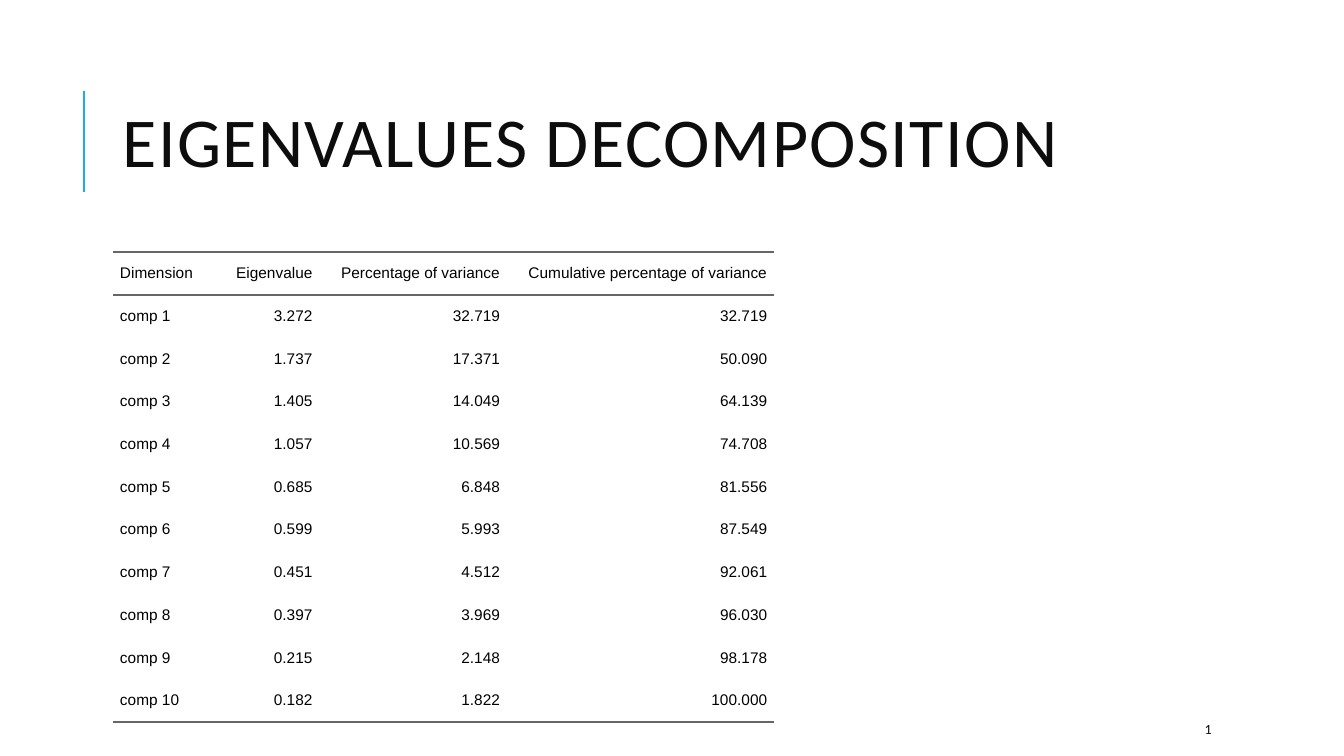
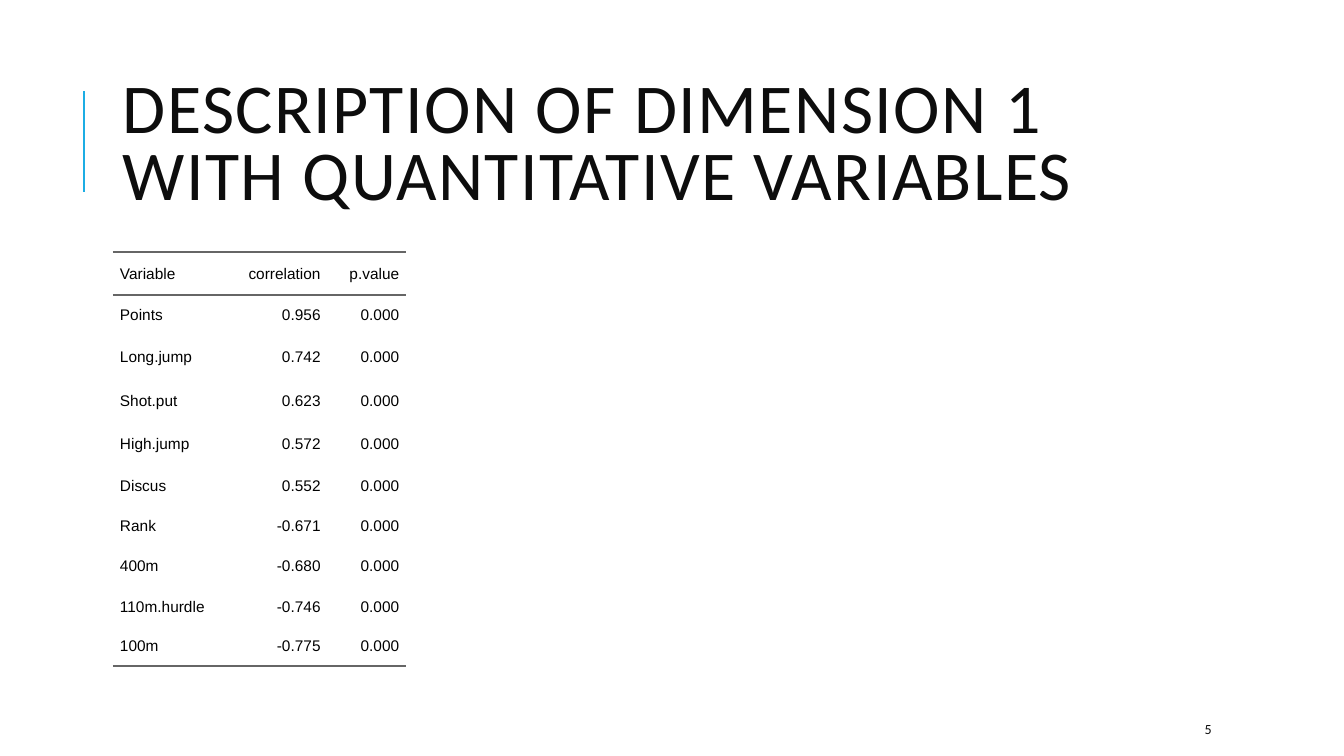
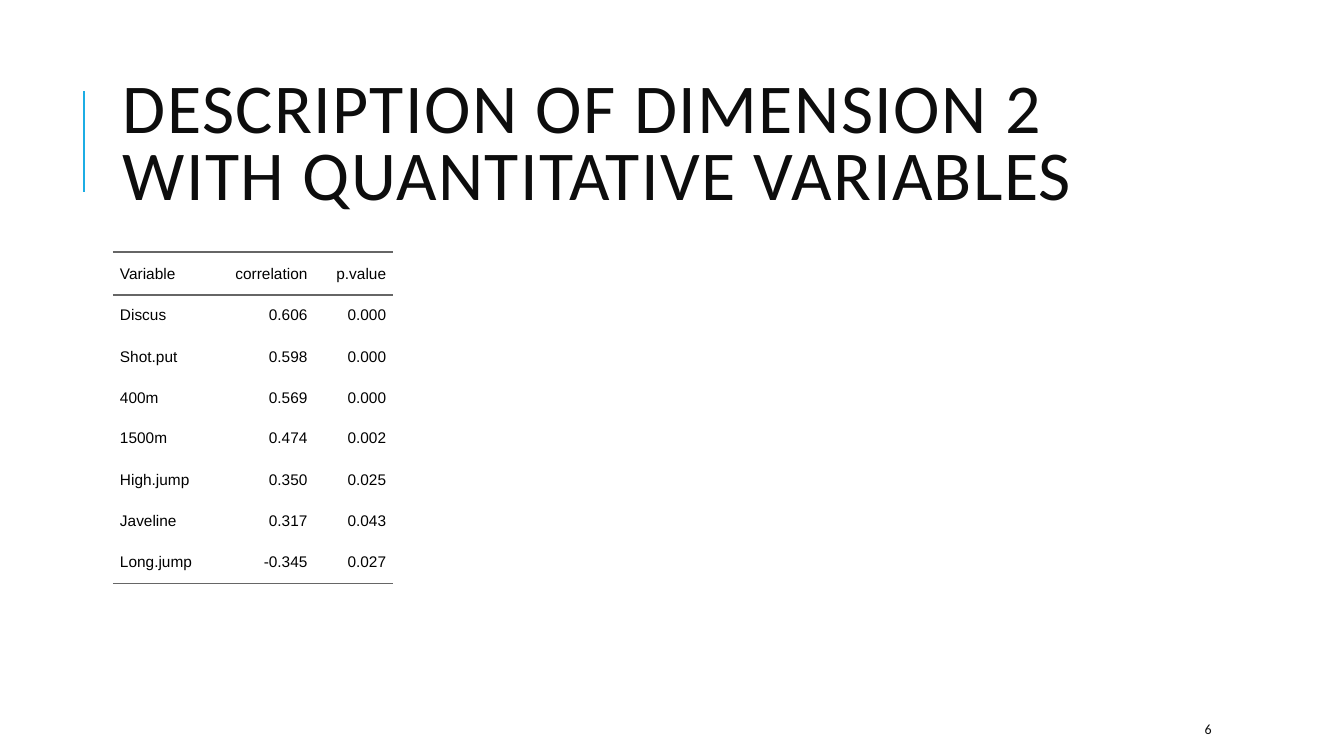
from lxml.etree import SubElement
from pptx import Presentation
from pptx.dml.color import RGBColor
from pptx.enum.shapes import MSO_CONNECTOR
from pptx.enum.text import MSO_ANCHOR, PP_ALIGN
from pptx.oxml.ns import qn
from pptx.util import Inches, Pt

# Shared look
INK, RULE, ACCENT = "0D0D0D", "666666", "1CADE4"
NO_STYLE = "{2D5ABB26-0587-4C30-8999-92F81FD0307C}"
TITLE_FONT = {"name": "Calibri", "size": Pt(50)}
NUMBER_FONT = {"name": "Calibri", "size": Pt(10)}
CELL_FONT = {"name": "Arial", "size": Pt(11)}
CELL_FORMAT = {
    "vertical_anchor": MSO_ANCHOR.MIDDLE,
    "margin_left": Inches(0.07),
    "margin_right": Inches(0.07),
    "margin_top": Inches(0.07),
    "margin_bottom": Inches(0.07),
}
CELL_SPACING = {"space_before": Pt(5), "space_after": Pt(5)}

# Content: title, slide number, column widths, row heights, table rows
CORRELATION_HEADER = ["Variable", "correlation", "p.value"]
pages = [
    ("EIGENVALUES DECOMPOSITION", "1", [1.01, 1.04, 1.86, 2.65], [4.66 / 11] * 11, [
        ["Dimension", "Eigenvalue", "Percentage of variance",
         "Cumulative percentage of variance"],
        ["comp 1", "3.272", "32.719", "32.719"],
        ["comp 2", "1.737", "17.371", "50.090"],
        ["comp 3", "1.405", "14.049", "64.139"],
        ["comp 4", "1.057", "10.569", "74.708"],
        ["comp 5", "0.685", "6.848", "81.556"],
        ["comp 6", "0.599", "5.993", "87.549"],
        ["comp 7", "0.451", "4.512", "92.061"],
        ["comp 8", "0.397", "3.969", "96.030"],
        ["comp 9", "0.215", "2.148", "98.178"],
        ["comp 10", "0.182", "1.822", "100.000"],
    ]),
    ("DESCRIPTION OF DIMENSION 1 WITH QUANTITATIVE VARIABLES", "5", [1.13, 1, 0.78],
     [0.43, 0.4, 0.43, 0.43, 0.43, 0.4, 0.4, 0.4, 0.4, 0.39], [
        CORRELATION_HEADER,
        ["Points", "0.956", "0.000"],
        ["Long.jump", "0.742", "0.000"],
        ["Shot.put", "0.623", "0.000"],
        ["High.jump", "0.572", "0.000"],
        ["Discus", "0.552", "0.000"],
        ["Rank", "-0.671", "0.000"],
        ["400m", "-0.680", "0.000"],
        ["110m.hurdle", "-0.746", "0.000"],
        ["100m", "-0.775", "0.000"],
    ]),
    ("DESCRIPTION OF DIMENSION 2 WITH QUANTITATIVE VARIABLES", "6", [1, 1, 0.78],
     [0.43, 0.4, 0.42, 0.4, 0.4, 0.42, 0.4, 0.42], [
        CORRELATION_HEADER,
        ["Discus", "0.606", "0.000"],
        ["Shot.put", "0.598", "0.000"],
        ["400m", "0.569", "0.000"],
        ["1500m", "0.474", "0.002"],
        ["High.jump", "0.350", "0.025"],
        ["Javeline", "0.317", "0.043"],
        ["Long.jump", "-0.345", "0.027"],
    ]),
]


def color(hex_code):
    return RGBColor.from_string(hex_code)


def write(frame, text, font_format, ink):
    """Put one run of formatted text in a text frame and return the run."""
    run = frame.paragraphs[0].add_run()
    run.text = text
    for key, value in font_format.items():
        setattr(run.font, key, value)
    run.font.color.rgb = color(ink)
    return run


prs = Presentation()
prs.slide_width, prs.slide_height = Inches(13.33), Inches(7.5)

for title, number, widths, heights, rows in pages:
    slide = prs.slides.add_slide(prs.slide_layouts[6])

    # Accent bar beside the title
    bar = slide.shapes.add_connector(
        MSO_CONNECTOR.STRAIGHT, Inches(0.83), Inches(1.9), Inches(0.83), Inches(0.9))
    bar.line.color.rgb = color(ACCENT)
    bar.line.width = Pt(1.5)
    SubElement(bar._element.spPr, qn("a:effectLst"))

    # Title
    heading = slide.shapes.add_textbox(
        Inches(1.12), Inches(0.64), Inches(10.63), Inches(1.64)).text_frame
    heading.word_wrap = True
    heading.vertical_anchor = MSO_ANCHOR.MIDDLE
    heading.paragraphs[0].line_spacing = 0.8
    title_run = write(heading, title, TITLE_FONT, INK)
    title_run._r.get_or_add_rPr().set("spc", "100")

    # Table
    results = slide.shapes.add_table(
        len(rows), len(widths), Inches(1.12), Inches(2.5),
        Inches(sum(widths)), Inches(sum(heights))).table
    results.first_row = results.horz_banding = False
    results._tbl.tblPr.find(qn("a:tableStyleId")).text = NO_STYLE
    for column, width in zip(results.columns, widths):
        column.width = Inches(width)
    for row, height in zip(results.rows, heights):
        row.height = Inches(height)

    for r, values in enumerate(rows):
        # Rules above and below the header, and below the last row
        edges = {0: ["a:lnT", "a:lnB"], len(rows) - 1: ["a:lnB"]}.get(r, [])
        for c, value in enumerate(values):
            cell = results.cell(r, c)
            for key, setting in CELL_FORMAT.items():
                setattr(cell, key, setting)
            paragraph = cell.text_frame.paragraphs[0]
            for key, setting in CELL_SPACING.items():
                setattr(paragraph, key, setting)
            paragraph.alignment = PP_ALIGN.RIGHT if c else PP_ALIGN.LEFT
            write(cell.text_frame, value, CELL_FONT, "000000")
            for edge in edges:
                border = SubElement(cell._tc.get_or_add_tcPr(), qn(edge), w=str(Pt(1.5)))
                border_fill = SubElement(border, qn("a:solidFill"))
                SubElement(border_fill, qn("a:srgbClr"), val=RULE)
            cell.fill.background()

    # Slide number
    footer = slide.shapes.add_textbox(
        Inches(11.85), Inches(7.08), Inches(1.06), Inches(0.3)).text_frame
    footer.word_wrap = True
    footer.vertical_anchor = MSO_ANCHOR.MIDDLE
    write(footer, number, NUMBER_FONT, INK)

prs.save("out.pptx")
